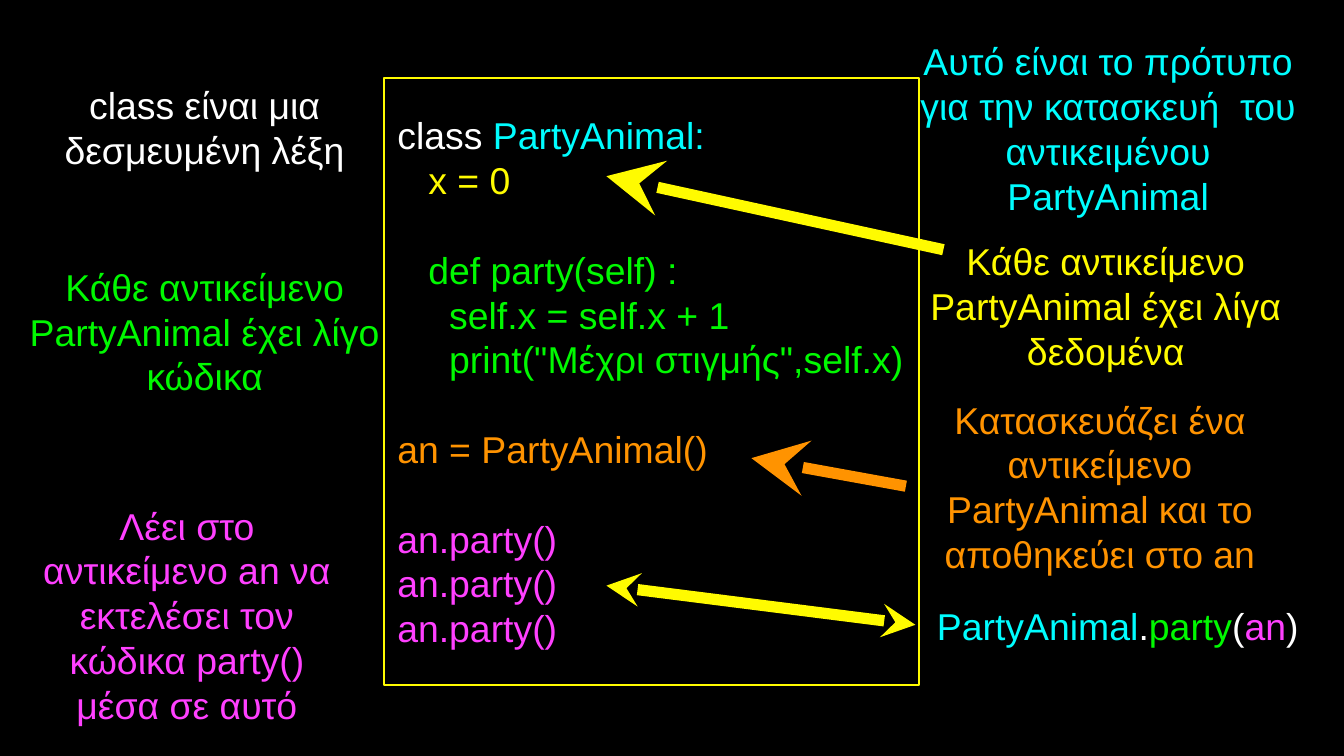
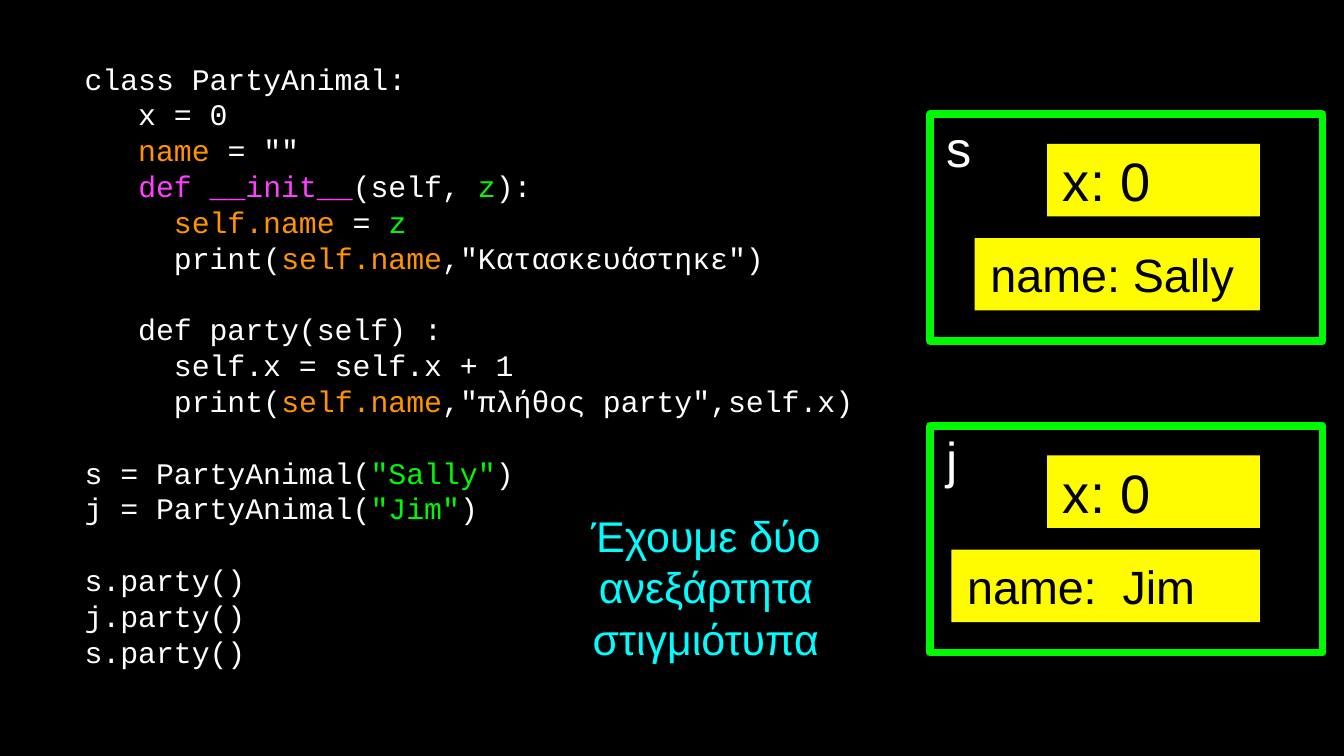
import lxml.etree
import pptx
import pptx.dml.color
import pptx.enum.shapes
import pptx.enum.text
import pptx.oxml.ns
import pptx.util

Cm = pptx.util.Cm
Pt = pptx.util.Pt
RGBColor = pptx.dml.color.RGBColor
ANCHOR = pptx.enum.text.MSO_ANCHOR
ALIGN = pptx.enum.text.PP_ALIGN

BLACK = RGBColor(0x00, 0x00, 0x00)
WHITE = RGBColor(0xFF, 0xFF, 0xFF)
YELLOW = RGBColor(0xFF, 0xFB, 0x00)
CYAN = RGBColor(0x00, 0xFD, 0xFF)
GREEN = RGBColor(0x00, 0xF9, 0x00)
ORANGE = RGBColor(0xFF, 0x93, 0x00)
PINK = RGBColor(0xFF, 0x40, 0xFF)

SANS = "Arial"
MONO = "Courier New"
LEADING = 1.2
MARGIN = 0.05


def write_text(box, lines, size=20, font=SANS, align=ALIGN.LEFT,
               anchor=ANCHOR.MIDDLE, inset=MARGIN):
    """Fill a box with lines, each a list of (text, colour) spans.

    An empty line becomes space before the next paragraph.
    """
    frame = box.text_frame
    frame.word_wrap = True
    frame.vertical_anchor = anchor
    frame.margin_left = Cm(inset)
    frame.margin_right = frame.margin_top = frame.margin_bottom = Cm(MARGIN)
    line_height = Pt(round(size * LEADING, 1))
    para, gap = None, 0
    for line in lines:
        if not line:
            gap += line_height
            continue
        para = frame.add_paragraph() if para else frame.paragraphs[0]
        para.alignment = align
        para.line_spacing = line_height
        para.space_before = Pt(gap / Pt(1))
        gap = 0
        for text, color in line:
            span = para.add_run()
            span.text = text
            span.font.name = font
            span.font.size = Pt(size)
            span.font.color.rgb = color


class Lesson:
    """A dark deck and the page being drawn."""

    def __init__(self):
        self.deck = pptx.Presentation()
        self.deck.slide_width = Cm(25.4)
        self.deck.slide_height = Cm(14.29)
        backdrop = self.deck.slide_master.background.fill
        backdrop.solid()
        backdrop.fore_color.rgb = BLACK
        self.page = None

    def new_page(self):
        self.page = self.deck.slides.add_slide(self.deck.slide_layouts[6])

    def text(self, place, lines, **style):
        box = self.page.shapes.add_textbox(*map(Cm, place))
        write_text(box, lines, **style)

    def note(self, place, *spans, size=20):
        self.text(place, [spans], size=size, align=ALIGN.CENTER)

    def panel(self, place, lines, fill=None, outline=None, width=1,
              parent=None, **style):
        shapes = (parent or self.page).shapes
        box = shapes.add_shape(pptx.enum.shapes.MSO_SHAPE.RECTANGLE,
                               *map(Cm, place))
        box.shadow.inherit = False
        if fill is None:
            box.fill.background()
        else:
            box.fill.solid()
            box.fill.fore_color.rgb = fill
        if outline is None:
            box.line.fill.background()
        else:
            box.line.color.rgb = outline
            box.line.width = Pt(width)
        write_text(box, lines, **style)

    def arrow(self, start, end, color, ends=("headEnd",), size="lg"):
        line = self.page.shapes.add_connector(
            pptx.enum.shapes.MSO_CONNECTOR.STRAIGHT, *map(Cm, start + end))
        line.line.color.rgb = color
        line.line.width = Pt(6)
        qn = pptx.oxml.ns.qn
        properties = line._element.spPr
        stroke = properties.find(qn("a:ln"))
        for name in ends:
            lxml.etree.SubElement(stroke, qn("a:" + name),
                                  type="stealth", w=size, len=size)
        lxml.etree.SubElement(properties, qn("a:effectLst"))

    def instance(self, top, variable, name, name_left):
        """Draw one object: its frame and its two attributes."""
        group = self.page.shapes.add_group_shape()
        self.panel((17.58, top, 7.42, 4.29), [[(variable, WHITE)]],
                   outline=GREEN, width=4, parent=group, size=27,
                   anchor=ANCHOR.TOP, inset=0.3)
        right, height = 23.81, 1.37
        for label, left, offset, size in (("x: 0", 19.79, 0.56, 29),
                                          (name, name_left, 2.34, 25)):
            self.panel((left, top + offset, right - left, height),
                       [[(label, BLACK)]], fill=YELLOW, parent=group,
                       size=size, inset=0.3)


def draw_class_page(lesson):
    lesson.new_page()

    # Code
    calls = [[("an.party()", PINK)]] * 3
    lesson.panel((7.26, 1.47, 10.11, 11.48), [
        [("class ", WHITE), ("PartyAnimal:", CYAN)],
        [("   x = 0", YELLOW)],
        [],
        [("   def party(self) :", GREEN)],
        [("     self.x = self.x + 1", GREEN)],
        [("     print(\"Μέχρι στιγμής\",self.x)", GREEN)],
        [],
        [("an = PartyAnimal()", ORANGE)],
        [],
        *calls,
    ], outline=YELLOW, inset=0.25)

    # Explanations around the code
    notes = (
        ((17.12, 0.99, 7.65, 2.87), CYAN,
         "Αυτό είναι το πρότυπο για την κατασκευή  του αντικειμένου PartyAnimal"),
        ((0.2, 1.47, 7.34, 1.85), WHITE, "class είναι μια δεσμευμένη λέξη"),
        ((17.37, 4.42, 7.06, 2.72), YELLOW,
         "Κάθε αντικείμενο PartyAnimal έχει λίγα δεδομένα"),
        ((0.2, 4.9, 7.34, 2.72), GREEN,
         "Κάθε αντικείμενο PartyAnimal έχει λίγο κώδικα"),
        ((17.12, 7.95, 7.34, 2.49), ORANGE,
         "Κατασκευάζει ένα αντικείμενο PartyAnimal και το αποθηκεύει στο an"),
        ((0.69, 10.26, 5.69, 2.72), PINK,
         "Λέει στο αντικείμενο an να εκτελέσει τον κώδικα party() μέσα σε αυτό"),
    )
    for place, color, text in notes:
        lesson.note(place, (text, color))
    lesson.note((17.3, 11.3, 7.65, 1.04),
                ("PartyAnimal", CYAN), (".", WHITE), ("party", GREEN),
                ("(", WHITE), ("an", PINK), (")", WHITE))

    # Arrows
    lesson.arrow((11.46, 3.33), (17.83, 4.72), YELLOW)
    lesson.arrow((11.46, 11.07), (17.3, 11.81), YELLOW,
                 ends=("headEnd", "tailEnd"), size="med")
    lesson.arrow((14.2, 8.66), (17.12, 9.19), ORANGE)


def draw_instances_page(lesson):
    lesson.new_page()

    # Code
    lesson.text((1.55, 0.48, 15.65, 12.83), [
        [("class PartyAnimal:", WHITE)],
        [("   x = 0", WHITE)],
        [("   name", ORANGE), (" = \"\"", WHITE)],
        [("   ", WHITE), ("def __init__", PINK), ("(self, ", WHITE),
         ("z", GREEN), ("):", WHITE)],
        [("     self.name", ORANGE), (" = ", WHITE), ("z", GREEN)],
        [("     print(", WHITE), ("self.name", ORANGE),
         (",\"Κατασκευάστηκε\")", WHITE)],
        [],
        [("   def party(self) :", WHITE)],
        [("     self.x = self.x + 1", WHITE)],
        [("     print(", WHITE), ("self.name", ORANGE),
         (",\"πλήθος party\",self.x)", WHITE)],
        [],
        [("s = PartyAnimal(", WHITE), ("\"Sally\"", GREEN), (")", WHITE)],
        [("j = PartyAnimal(", WHITE), ("\"Jim\"", GREEN), (")", WHITE)],
        [],
        *([(f"{variable}.party()", WHITE)] for variable in "sjs"),
    ], size=16, font=MONO)

    # The two objects
    lesson.instance(2.16, "s", "name: Sally", 18.42)
    lesson.instance(8.05, "j", "name:  Jim", 17.98)
    lesson.note((9.98, 9.65, 6.73, 2.87),
                ("Έχουμε δύο ανεξάρτητα στιγμιότυπα", CYAN), size=23)


def main():
    lesson = Lesson()
    draw_class_page(lesson)
    draw_instances_page(lesson)
    lesson.deck.save("out.pptx")


if __name__ == "__main__":
    main()
